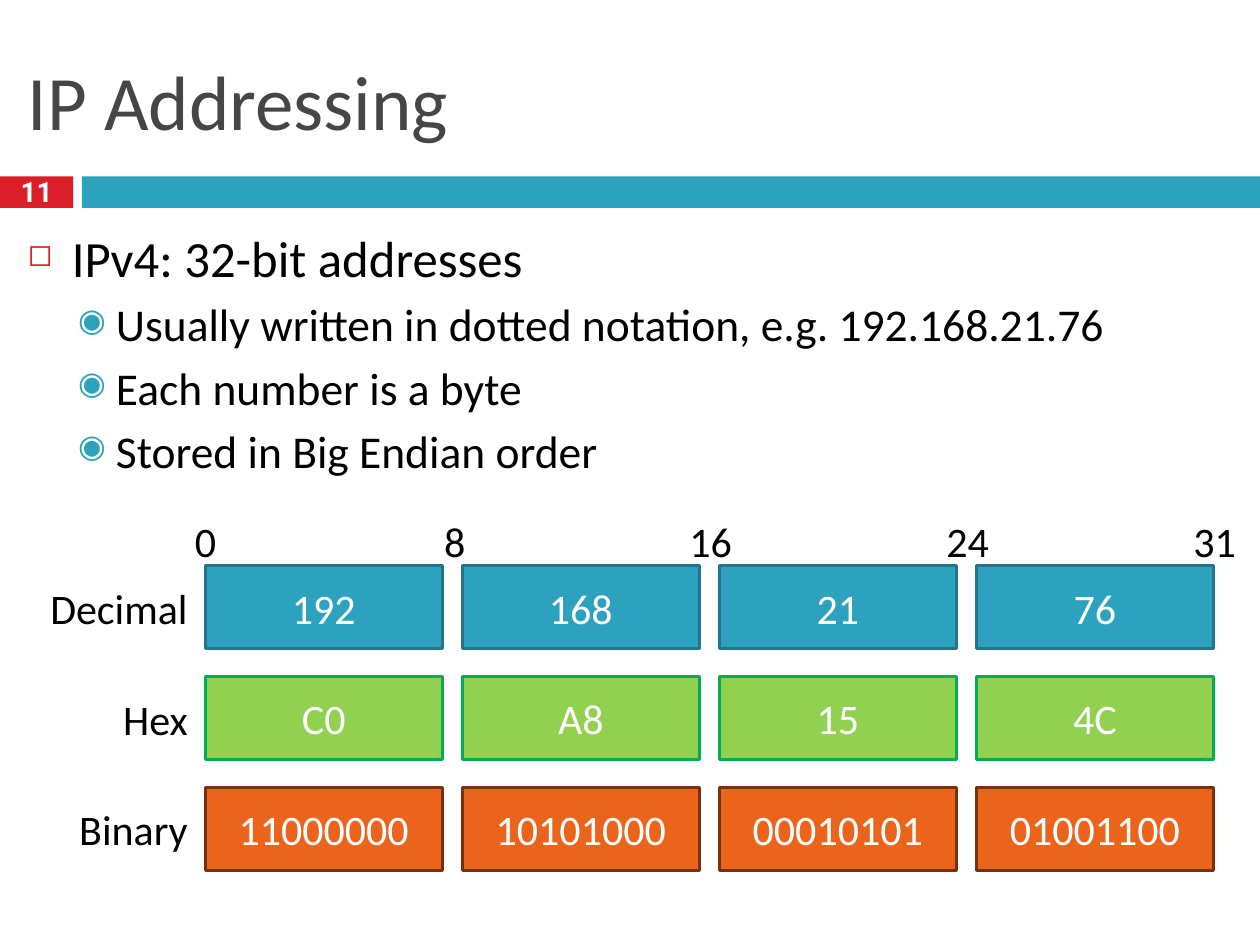
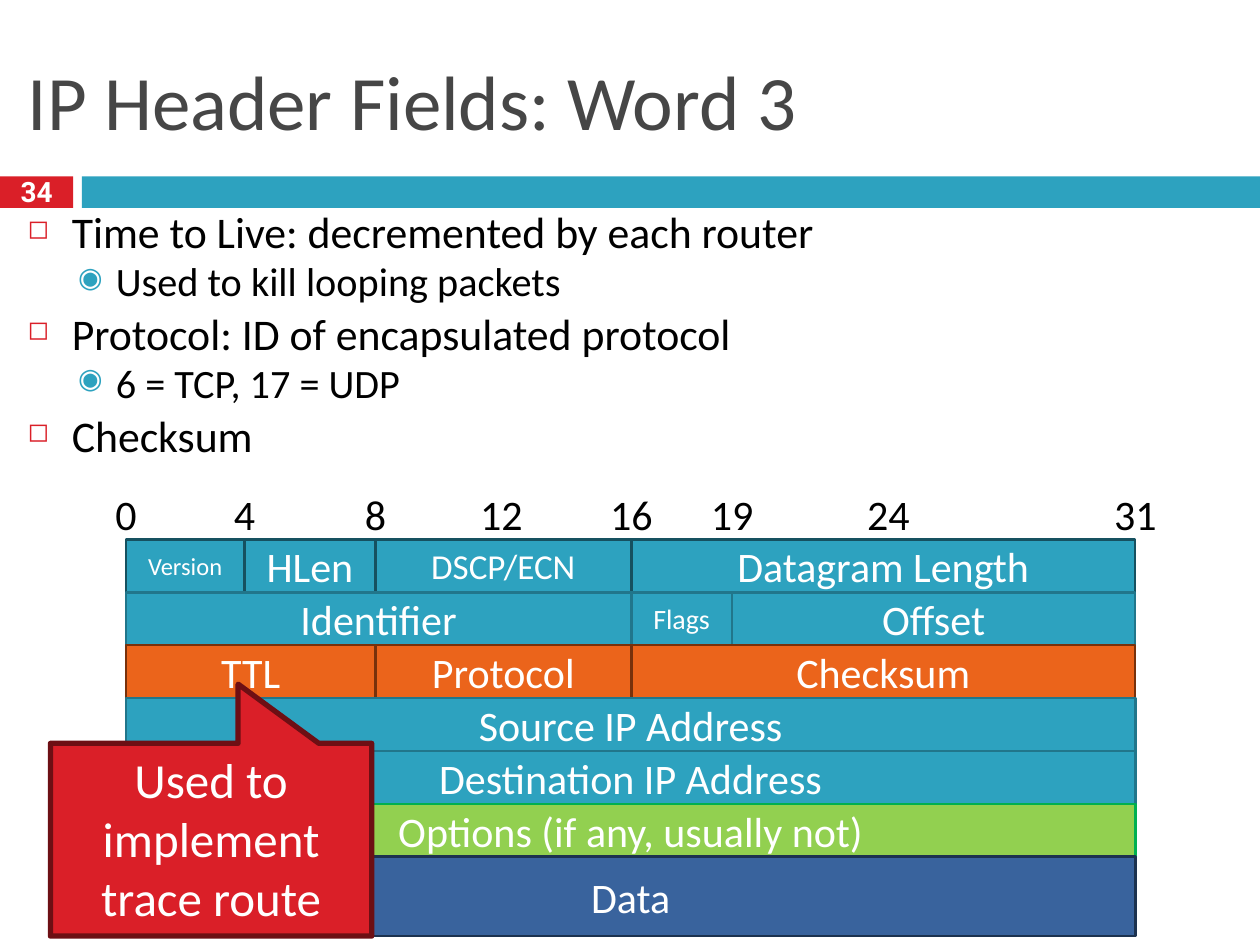
from lxml import etree
from pptx import Presentation
from pptx import util as u
from pptx.dml.color import RGBColor
from pptx.enum import shapes, text
from pptx.oxml.ns import qn

COLORS = {
    "title": "464646", "black": "000000", "white": "FFFFFF",
    "red": "DA1F28", "dark_red": "6D0F14",
    "teal": "2DA2BF", "dark_teal": "21768B", "deep_teal": "165160",
    "green": "92D050", "dark_green": "00B050",
    "orange": "EB641B", "brown": "78310B",
    "blue": "39639D", "navy": "1C324F",
}
SLIDE_WIDTH, SLIDE_HEIGHT = 10, 7.5
MARGIN, CONTENT_WIDTH = 0.17, 9.67
BAND_TOP, BAND_HEIGHT = 1.4, 0.25
BADGE_WIDTH, BAND_LEFT = 0.58, 0.65
LABEL_WIDTH, LABEL_HEIGHT = 0.65, 0.48

# Outline level: bullet, colour, size %, left margin, hanging indent, space before
BULLETS = [
    ("◻", "red", 60, 0.35, 0.35, 7),
    ("◉", "teal", 70, 0.7, 0.3, 5),
]

# Distance of each bit number from the left edge of a 32-bit diagram
BIT_X = {0: 0, 4: 0.94, 8: 1.98, 12: 2.98, 16: 4.01, 19: 4.81, 24: 6.05, 31: 8.01}

ADDRESS_ROWS = [
    ("Decimal", "teal", "dark_teal", ["192", "168", "21", "76"]),
    ("Hex", "green", "dark_green", ["C0", "A8", "15", "4C"]),
    ("Binary", "orange", "brown", ["11000000", "10101000", "00010101", "01001100"]),
]

# Fill, line, height, fields as (name, first bit, end bit, text size)
HEADER_ROWS = [
    ("teal", "deep_teal", 0.42, [("Version", 0, 4, 14), ("HLen", 4, 8, 24),
                                 ("DSCP/ECN", 8, 16, 20), ("Datagram Length", 16, 31, 24)]),
    ("teal", "dark_teal", 0.42, [("Identifier", 0, 16, 24), ("Flags", 16, 19, 16),
                                 ("Offset", 19, 31, 24)]),
    ("orange", "brown", 0.42, [("TTL", 0, 8, 24), ("Protocol", 8, 16, 24),
                               ("Checksum", 16, 31, 24)]),
    ("teal", "dark_teal", 0.42, [("Source IP Address", 0, 31, 24)]),
    ("teal", "dark_teal", 0.42, [("Destination IP Address", 0, 31, 24)]),
    ("green", "dark_green", 0.42, [("Options (if any, usually not)", 0, 31, 24)]),
    ("blue", "navy", 0.63, [("Data", 0, 31, 24)]),
]


def rgb(name):
    return RGBColor.from_string(COLORS[name])


def inches(*lengths):
    return [u.Inches(length) for length in lengths]


def add_run(paragraph, words, size, color, font="Calibri", bold=False):
    run = paragraph.add_run()
    run.text = words
    run.font.name = font
    run.font.size = u.Pt(size)
    run.font.bold = bold
    run.font.color.rgb = rgb(color)


def prepare_frame(frame, anchor, side=0.05, edge=0.05):
    frame.word_wrap = True
    frame.vertical_anchor = anchor
    frame.margin_left = frame.margin_right = u.Inches(side)
    frame.margin_top = frame.margin_bottom = u.Inches(edge)


def add_label(slide, box, words, size=24, color="black", align=text.PP_ALIGN.CENTER,
              anchor=text.MSO_ANCHOR.MIDDLE, **font):
    frame = slide.shapes.add_textbox(*inches(*box)).text_frame
    prepare_frame(frame, anchor)
    paragraph = frame.paragraphs[0]
    paragraph.alignment = align
    add_run(paragraph, words, size, color, **font)
    return paragraph


def paint(shape, fill, line=None, width=1.5):
    shape.shadow.inherit = False
    shape.fill.solid()
    shape.fill.fore_color.rgb = rgb(fill)
    if line:
        shape.line.color.rgb = rgb(line)
        shape.line.width = u.Pt(width)
    else:
        shape.line.fill.background()


def add_block(slide, box, fill, line=None, words="", size=24):
    block = slide.shapes.add_shape(shapes.MSO_SHAPE.RECTANGLE, *inches(*box))
    paint(block, fill, line)
    if words:
        prepare_frame(block.text_frame, text.MSO_ANCHOR.MIDDLE, edge=0)
        paragraph = block.text_frame.paragraphs[0]
        paragraph.alignment = text.PP_ALIGN.CENTER
        add_run(paragraph, words, size, "white")


def add_titled_slide(prs, title, number):
    slide = prs.slides.add_slide(prs.slide_layouts[6])
    add_block(slide, (0, BAND_TOP, BADGE_WIDTH, BAND_HEIGHT), "red")
    add_block(slide, (BAND_LEFT, BAND_TOP, SLIDE_WIDTH - BAND_LEFT, BAND_HEIGHT), "teal")
    add_label(slide, (MARGIN, 0.25, CONTENT_WIDTH, 1.08), title, 44, "title",
              text.PP_ALIGN.LEFT)
    page = add_label(slide, (0, 1.37, BADGE_WIDTH, 0.35), number, 16, "white",
                     font="Roboto", bold=True)
    page.line_spacing = 0.8
    return slide


def set_bullet(paragraph, level):
    char, color, percent, left, hanging, _ = BULLETS[level]
    props = paragraph._p.get_or_add_pPr()
    props.set("marL", str(u.Inches(left)))
    props.set("indent", str(-u.Inches(hanging)))
    bullet_color = etree.SubElement(props, qn("a:buClr"))
    etree.SubElement(bullet_color, qn("a:srgbClr"), val=COLORS[color])
    etree.SubElement(props, qn("a:buSzPct"), val=str(percent * 1000))
    etree.SubElement(props, qn("a:buChar"), char=char)


def add_outline(slide, box, points, sizes, line_spacing=1.0):
    """Bulleted text; points are (level, words) and sizes go by level."""
    frame = slide.shapes.add_textbox(*inches(*box)).text_frame
    prepare_frame(frame, text.MSO_ANCHOR.TOP)
    for i, (level, words) in enumerate(points):
        paragraph = frame.add_paragraph() if i else frame.paragraphs[0]
        paragraph.level = level
        set_bullet(paragraph, level)
        paragraph.line_spacing = line_spacing
        if i:
            paragraph.space_before = u.Pt(BULLETS[level][-1])
        add_run(paragraph, words, sizes[level], "black")


def add_bit_scale(slide, left, top, bits):
    for bit in bits:
        label_left = left + BIT_X[bit] - LABEL_WIDTH / 2
        add_label(slide, (label_left, top, LABEL_WIDTH, LABEL_HEIGHT), str(bit))


def add_address_grid(slide, left, top):
    cell_width, cell_height, column_step, row_step = 1.88, 0.66, 2.04, 0.88
    add_bit_scale(slide, left, top - 0.44, [0, 8, 16, 24, 31])
    for row, (notation, fill, line, values) in enumerate(ADDRESS_ROWS):
        row_top = top + row * row_step
        add_label(slide, (left - 1.57, row_top + 0.09, 1.48, LABEL_HEIGHT), notation,
                  align=text.PP_ALIGN.RIGHT)
        for column, value in enumerate(values):
            cell = (left + column * column_step, row_top, cell_width, cell_height)
            add_block(slide, cell, fill, line, value)


def add_header_diagram(slide, left, top):
    add_bit_scale(slide, left, top - 0.44, BIT_X)
    for fill, line, height, fields in HEADER_ROWS:
        for name, first, end, size in fields:
            field = (left + BIT_X[first], top, BIT_X[end] - BIT_X[first], height)
            add_block(slide, field, fill, line, name, size)
        top += height


def add_callout(slide, box, words):
    """Box with a pointer rising from its top edge."""
    left, top, width, height = box
    outline = [(width, 0), (2.13, 0), (1.49, -0.47), (1.49, 0), (0, 0),
               (0, height), (width, height)]
    corners = [inches(left + x, top + y) for x, y in outline]
    builder = slide.shapes.build_freeform(*corners[0])
    builder.add_line_segments(corners[1:], close=True)
    paint(builder.convert_to_shape(), "red", "dark_red", 3)
    add_label(slide, box, words, 28, "white", anchor=text.MSO_ANCHOR.TOP)


def build_addressing(prs):
    slide = add_titled_slide(prs, "IP Addressing", "11")
    add_outline(slide, (MARGIN, 1.75, CONTENT_WIDTH, 2.33), [
        (0, "IPv4: 32-bit addresses"),
        (1, "Usually written in dotted notation, e.g. 192.168.21.76"),
        (1, "Each number is a byte"),
        (1, "Stored in Big Endian order"),
    ], sizes=(29, 26))
    add_address_grid(slide, 1.63, 4.49)


def build_header_fields(prs):
    slide = add_titled_slide(prs, "IP Header Fields: Word 3", "34")
    add_outline(slide, (MARGIN, 1.66, CONTENT_WIDTH, 2.25), [
        (0, "Time to Live: decremented by each router"),
        (1, "Used to kill looping packets"),
        (0, "Protocol: ID of encapsulated protocol"),
        (1, "6 = TCP, 17 = UDP"),
        (0, "Checksum"),
    ], sizes=(25, 23), line_spacing=0.8)
    add_header_diagram(slide, 1, 4.28)
    add_callout(slide, (0.4, 5.9, 2.55, 1.53), "Used to implement trace route")


def main():
    prs = Presentation()
    prs.slide_width, prs.slide_height = inches(SLIDE_WIDTH, SLIDE_HEIGHT)
    build_addressing(prs)
    build_header_fields(prs)
    prs.save("out.pptx")


if __name__ == "__main__":
    main()
